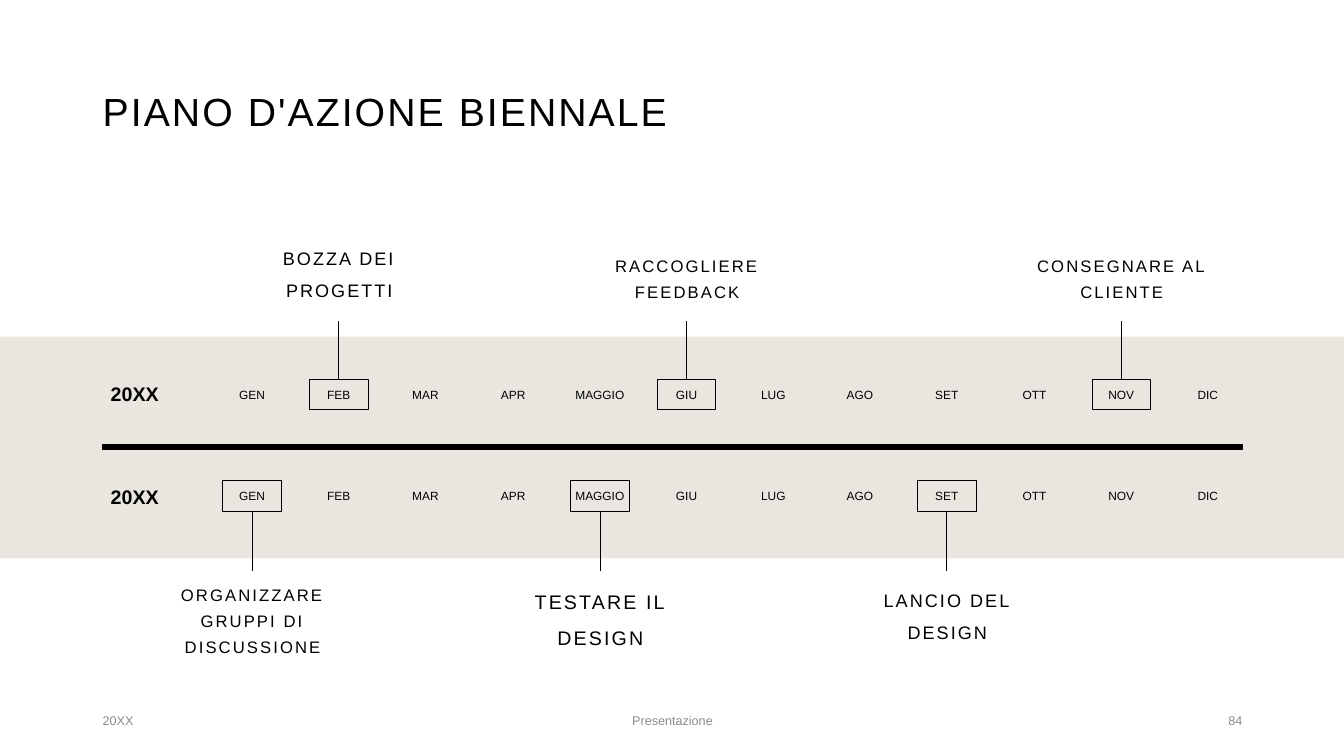
"""Builds the two-year action plan slide."""
from lxml import etree
from pptx import Presentation
from pptx.dml.color import RGBColor
from pptx.enum.shapes import MSO_CONNECTOR, MSO_SHAPE
from pptx.enum.text import MSO_ANCHOR, PP_ALIGN
from pptx.oxml.ns import qn
from pptx.util import Pt

TITLE = "PIANO D'AZIONE BIENNALE"
MONTHS = ["GEN", "FEB", "MAR", "APR", "MAGGIO", "GIU",
          "LUG", "AGO", "SET", "OTT", "NOV", "DIC"]
YEARS = [
    {"label": "20XX", "label_top": 367, "months_top": 383, "box_top": 376,
     "callout_top": 243, "line_end": 318, "side": "above",
     "milestones": [("FEB", "BOZZA DEI PROGETTI", 12.9, 1.5),
                    ("GIU", "RACCOGLIERE FEEDBACK", 11.9, 1.3),
                    ("NOV", "CONSEGNARE AL CLIENTE", 11.9, 1.3)]},
    {"label": "20XX", "label_top": 469, "months_top": 484, "box_top": 477,
     "callout_top": 569, "line_end": 566, "side": "below",
     "milestones": [("GEN", "ORGANIZZARE GRUPPI DI DISCUSSIONE", 11.9, 1.3),
                    ("MAGGIO", "TESTARE IL DESIGN", 14, 1.5),
                    ("SET", "LANCIO DEL DESIGN", 12.9, 1.5)]},
]

LEFT, CENTER, RIGHT = PP_ALIGN.LEFT, PP_ALIGN.CENTER, PP_ALIGN.RIGHT
TOP, MIDDLE, BOTTOM = MSO_ANCHOR.TOP, MSO_ANCHOR.MIDDLE, MSO_ANCHOR.BOTTOM
RECTANGLE, STRAIGHT = MSO_SHAPE.RECTANGLE, MSO_CONNECTOR.STRAIGHT
FOOTER = [("20XX", 92, 300, LEFT), ("Presentazione", 442, 450, CENTER),
          ("84", 942, 300, RIGHT)]

BLACK = RGBColor(0x00, 0x00, 0x00)
SAND = RGBColor(0xE9, 0xE6, 0xDF)
GRAY = RGBColor(0x8C, 0x8C, 0x8C)
FONT = "Arial"

PX = 9144
PAGE_WIDTH, PAGE_HEIGHT = 1333, 750
FIRST_CENTER, LAST_CENTER = 250, 1198
MONTH_WIDTH, MONTH_HEIGHT = 70, 22
BOX_WIDTH, BOX_HEIGHT = 58, 30
CALLOUT_WIDTH, CALLOUT_HEIGHT = 225, 61


def px(*lengths):
    return [round(length * PX) for length in lengths]


def month_center(index):
    pitch = (LAST_CENTER - FIRST_CENTER) / (len(MONTHS) - 1)
    return round(FIRST_CENTER + index * pitch)


def add_text(page, text, area, size, align=LEFT, anchor=MIDDLE, color=BLACK,
             bold=False, line_spacing=1.0, tracking=0, side_margin=10):
    box = page.shapes.add_textbox(*px(*area))
    frame = box.text_frame
    frame.word_wrap = True
    frame.vertical_anchor = anchor
    frame.margin_left, frame.margin_right = px(side_margin, side_margin)
    para = frame.paragraphs[0]
    para.alignment = align
    para.line_spacing = line_spacing
    para.font.name, para.font.size, para.font.bold = FONT, Pt(size), bold
    para.font.color.rgb = color
    span = para.add_run()
    span.text = text
    if tracking:
        span.font._element.set("spc", str(round(tracking * 100)))


def add_rectangle(page, area, fill=None, line_width=0):
    shape = page.shapes.add_shape(RECTANGLE, *px(*area))
    shape.shadow.inherit = False
    if fill is None:
        shape.fill.background()
    else:
        shape.fill.solid()
        shape.fill.fore_color.rgb = fill
    if line_width:
        shape.line.color.rgb = BLACK
        shape.line.width = Pt(line_width)
    else:
        shape.line.fill.background()
    return shape


def add_milestone(page, year, month, text, size, line_spacing):
    center = month_center(MONTHS.index(month))
    above = year["side"] == "above"
    box = add_rectangle(page, (center - BOX_WIDTH // 2, year["box_top"],
                               BOX_WIDTH, BOX_HEIGHT), line_width=0.5)
    end = px(center, year["line_end"])
    stem = page.shapes.add_connector(STRAIGHT, *end, *end)
    stem.begin_connect(box, 0 if above else 2)
    stem.line.color.rgb = BLACK
    stem.line.width = Pt(0.5)
    etree.SubElement(stem._element.spPr, qn("a:effectLst"))
    area = (center - CALLOUT_WIDTH // 2, year["callout_top"],
            CALLOUT_WIDTH, CALLOUT_HEIGHT)
    add_text(page, text, area, size, CENTER, BOTTOM if above else TOP,
             line_spacing=line_spacing, tracking=1.5)


def add_year(page, year):
    add_text(page, year["label"], (100, year["label_top"], 80, 50), 14,
             bold=True, line_spacing=0.9)
    for index, month in enumerate(MONTHS):
        area = (month_center(index) - MONTH_WIDTH // 2, year["months_top"],
                MONTH_WIDTH, MONTH_HEIGHT)
        add_text(page, month, area, 8.5, CENTER, TOP, line_spacing=0.7,
                 side_margin=0)
    for milestone in year["milestones"]:
        add_milestone(page, year, *milestone)


def main():
    deck = Presentation()
    deck.slide_width, deck.slide_height = px(PAGE_WIDTH, PAGE_HEIGHT)
    page = deck.slides.add_slide(deck.slide_layouts[6])
    add_rectangle(page, (0, 334, PAGE_WIDTH, 220), fill=SAND)
    add_rectangle(page, (102, 441, 1130, 5), fill=BLACK, line_width=1)
    add_text(page, TITLE, (92, 40, 1150, 145), 28, line_spacing=0.9, tracking=1.5)
    for year in YEARS:
        add_year(page, year)
    for text, left, width, align in FOOTER:
        add_text(page, text, (left, 695, width, 40), 9, align, color=GRAY)
    deck.save("out.pptx")


if __name__ == "__main__":
    main()
